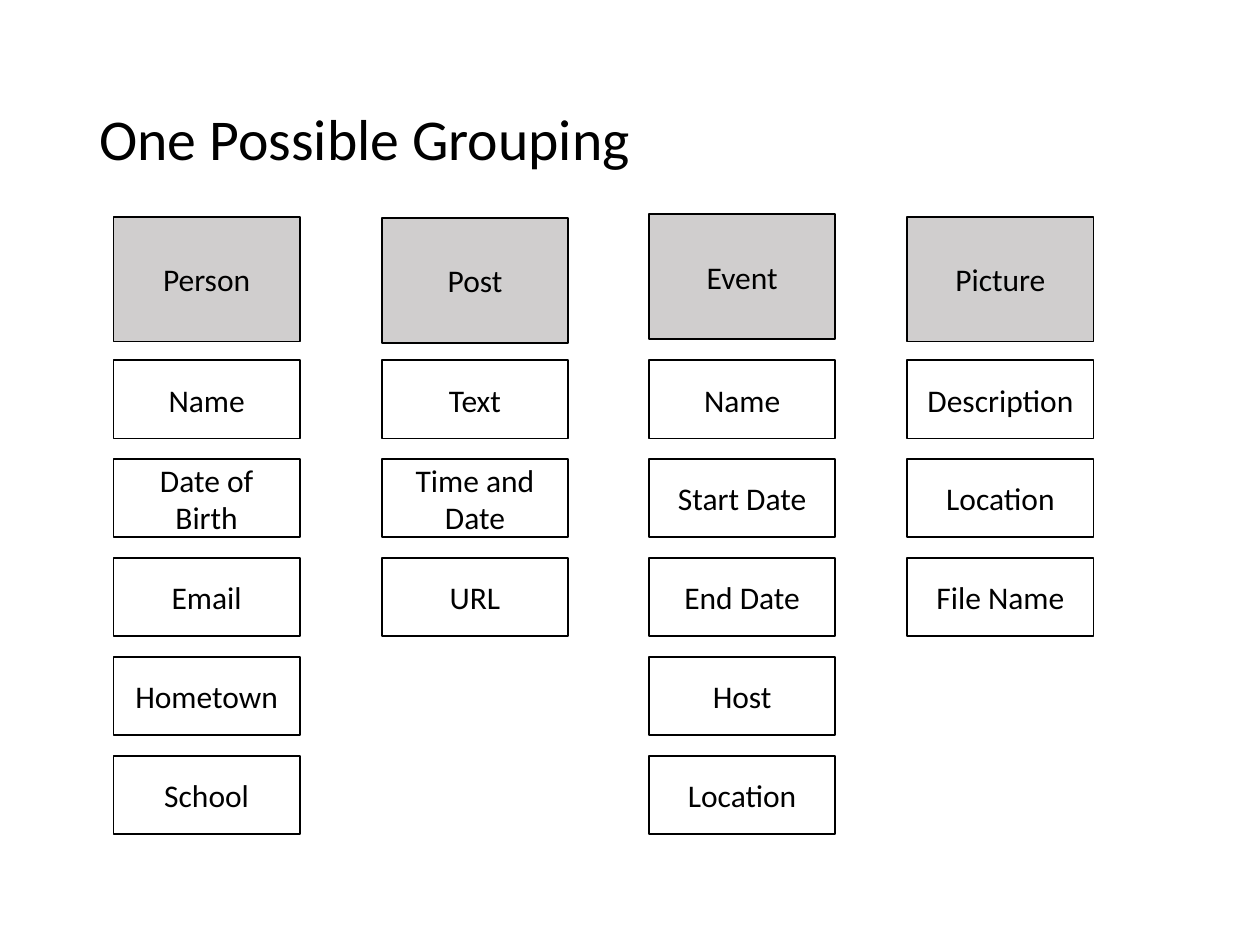
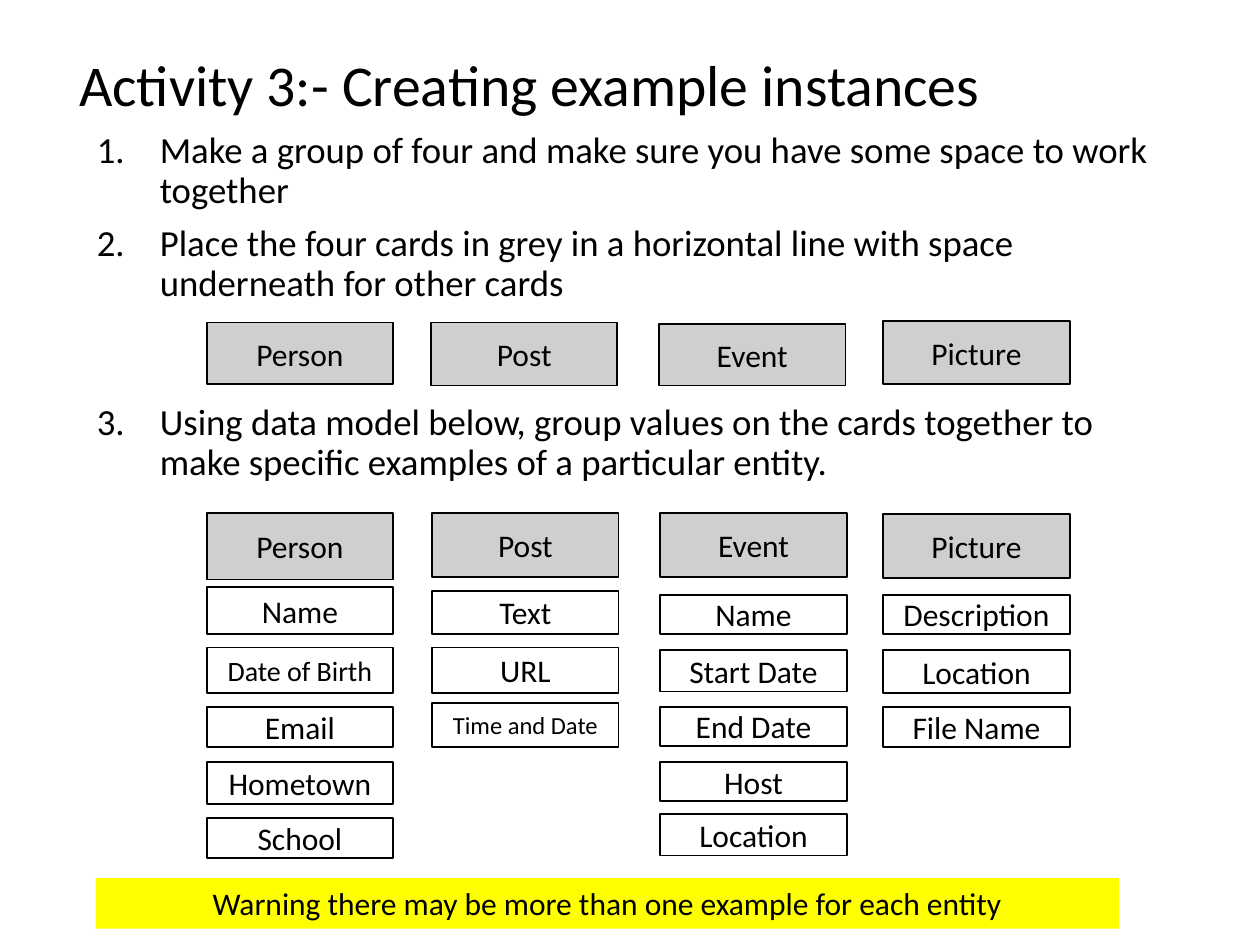
from dataclasses import dataclass

from lxml import etree
from pptx import Presentation
from pptx import util as u
from pptx.dml import color
from pptx.enum import shapes, text
from pptx.oxml import ns


@dataclass(frozen=True)
class Theme:
    font: str = "Calibri"
    ink: str = "000000"
    paper: str = "FFFFFF"
    entity: str = "D0CECE"
    warning: str = "FFFF00"
    title: int = 33
    body: int = 21
    card: int = 18
    outline: int = 1
    leading: float = 0.9
    gap: float = 7.5


theme = Theme()
deck = Presentation()
deck.slide_width, deck.slide_height = u.Inches(10), u.Inches(7.5)
column, row = deck.slide_width / 100, deck.slide_height / 75
card_width = 14.8


def write(box, lines, size, align, anchor):
    frame = box.text_frame
    frame.word_wrap = True
    frame.vertical_anchor = anchor
    frame.text = "\n".join(lines)
    for para in frame.paragraphs:
        para.alignment = align
        para.font.name = theme.font
        para.font.size = u.Pt(size)
        para.font.color.rgb = color.RGBColor.from_string(theme.ink)
    return frame.paragraphs


def draw_card(page, label, left, top, width, height, fill,
              size=theme.card, outlined=True, anchor=text.MSO_ANCHOR.MIDDLE):
    box = page.shapes.add_shape(
        shapes.MSO_SHAPE.RECTANGLE, round(left * column), round(top * row),
        round(width * column), round(height * row))
    box.shadow.inherit = False
    box.fill.solid()
    box.fill.fore_color.rgb = color.RGBColor.from_string(fill)
    if outlined:
        box.line.color.rgb = color.RGBColor.from_string(theme.ink)
        box.line.width = u.Pt(theme.outline)
    else:
        box.line.fill.background()
    write(box, [label], size, text.PP_ALIGN.CENTER, anchor)


titles = [
    ("One Possible Grouping", 6.9, 4, 86.2),
    ("Activity 3:- Creating example instances", 5.3, -0.3, 89.4),
]
pages = []
for title, left, top, width in titles:
    page = deck.slides.add_slide(deck.slide_layouts[6])
    box = page.shapes.add_textbox(round(left * column), round(top * row),
                                  round(width * column), round(14.5 * row))
    para = write(box, [title], theme.title, text.PP_ALIGN.LEFT, text.MSO_ANCHOR.MIDDLE)[0]
    para.line_spacing = theme.leading
    pages.append(page)
grouping, activity = pages

groups = [
    ("Person", 9, 17.2, ["Name", "Date of Birth", "Email", "Hometown", "School"]),
    ("Post", 30.3, 17.3, ["Text", "Time and Date", "URL"]),
    ("Event", 51.5, 17, ["Name", "Start Date", "End Date", "Host", "Location"]),
    ("Picture", 72, 17.2, ["Description", "Location", "File Name"]),
]
for entity, left, top, fields in groups:
    draw_card(grouping, entity, left, top, card_width, 9.9, theme.entity)
    for index, field in enumerate(fields):
        draw_card(grouping, field, left, 28.6 + index * 7.85, card_width, 6.2, theme.paper)

steps = [
    "Make a group of four and make sure you have some space to work together",
    "Place the four cards in grey in a horizontal line with space underneath for other cards",
    "Using data model below, group values on the cards together to make specific "
    "examples of a particular entity.",
]
box = activity.shapes.add_textbox(round(6.7 * column), round(10 * row),
                                  round(86.2 * column), round(55.6 * row))
paras = write(box, steps, theme.body, text.PP_ALIGN.LEFT, text.MSO_ANCHOR.TOP)
for para, space in zip(paras, [theme.gap, theme.gap, 57]):
    para.line_spacing = theme.leading
    para.space_before = u.Pt(space)
    properties = para._p.get_or_add_pPr()
    properties.set("marL", str(u.Inches(0.5)))
    properties.set("indent", str(u.Inches(-0.5)))
    number = etree.Element(ns.qn("a:buAutoNum"), type="arabicPeriod")
    properties.find(ns.qn("a:spcBef")).addnext(number)

line_cards = [
    ("Person", 16.4, 25.6, 4.9),
    ("Post", 34.2, 25.6, 5),
    ("Event", 52.3, 25.7, 4.9),
    ("Picture", 70.1, 25.5, 5),
]
for entity, left, top, height in line_cards:
    draw_card(activity, entity, left, top, card_width, height, theme.entity)

model = [
    ("Person", 16.4, 40.7, 5.3, [
        ("Name", 46.6, 3.7), ("Date of Birth", 51.4, 3.6), ("Email", 56.1, 3.2),
        ("Hometown", 60.5, 3.3), ("School", 64.9, 3.2)]),
    ("Post", 34.3, 40.7, 5.1, [
        ("Text", 46.9, 3.4), ("URL", 51.4, 3.6), ("Time and Date", 55.8, 3.5)]),
    ("Event", 52.4, 40.7, 5.1, [
        ("Name", 47.2, 3.1), ("Start Date", 51.6, 3.3), ("End Date", 56.1, 3.1),
        ("Host", 60.5, 3.1), ("Location", 64.6, 3.3)]),
    ("Picture", 70.1, 40.8, 5.1, [
        ("Description", 47.2, 3.1), ("Location", 51.6, 3.4), ("File Name", 56.1, 3.2)]),
]
long_label_sizes = {"Date of Birth": 16, "Time and Date": 14}
for entity, left, top, height, fields in model:
    draw_card(activity, entity, left, top, card_width, height, theme.entity)
    for field, field_top, field_height in fields:
        draw_card(activity, field, left, field_top, card_width, field_height, theme.paper,
                  long_label_sizes.get(field, theme.card))

draw_card(activity, "Warning there may be more than one example for each entity",
          7.6, 69.7, 81.2, 4, theme.warning, outlined=False, anchor=text.MSO_ANCHOR.TOP)

deck.save("out.pptx")
